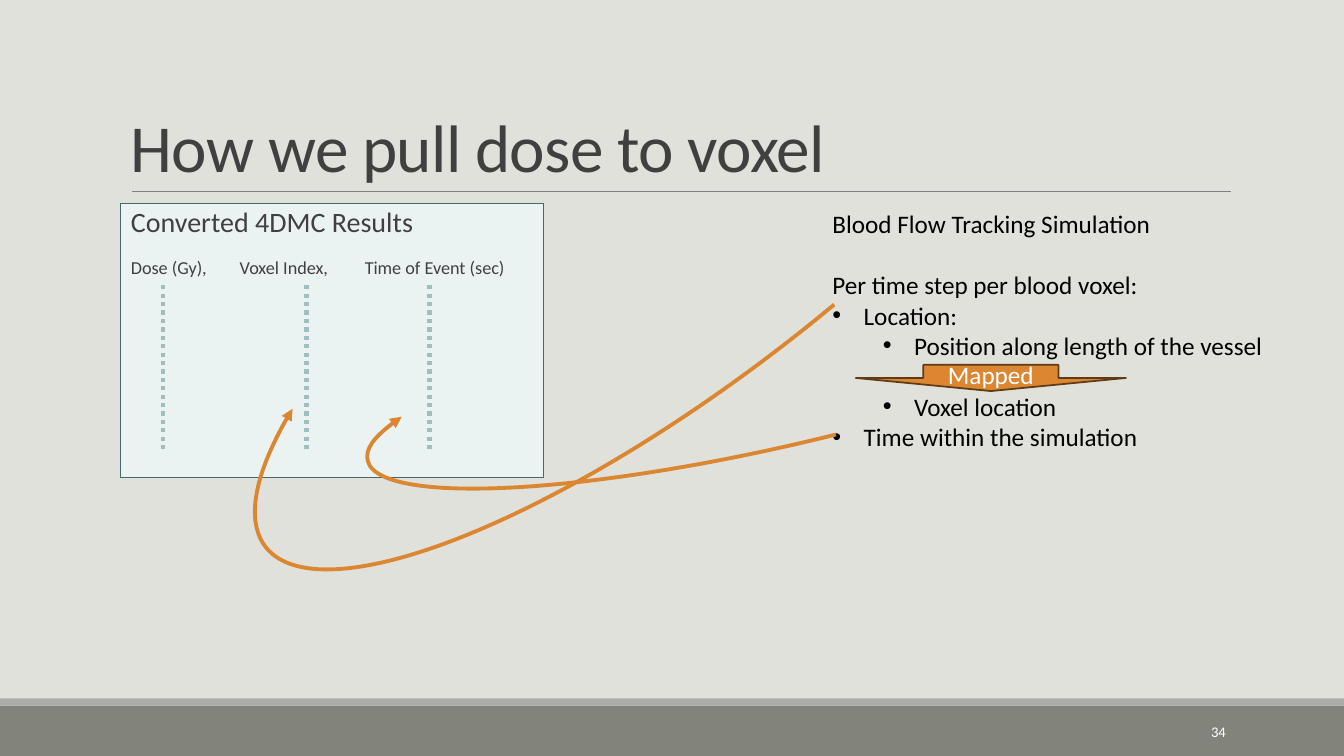
from dataclasses import dataclass
from typing import Any, Optional

import pptx
import pptx.dml.color
import pptx.enum.dml
import pptx.enum.shapes
import pptx.enum.text
import pptx.oxml
import pptx.oxml.ns
import pptx.util
import lxml.etree

RGBColor = pptx.dml.color.RGBColor
BACKGROUND = RGBColor(0xE1, 0xE1, 0xDB)
FOOTER = RGBColor(0x82, 0x84, 0x7C)
FOOTER_EDGE = RGBColor(0xAC, 0xAD, 0xA8)
RULE = RGBColor(0x80, 0x80, 0x80)
DARK = RGBColor(0x40, 0x40, 0x40)
BLACK = RGBColor(0x00, 0x00, 0x00)
WHITE = RGBColor(0xFF, 0xFF, 0xFF)
PANEL = RGBColor(0xEB, 0xF2, 0xF2)
PANEL_EDGE = RGBColor(0x45, 0x69, 0x68)
DOTS = RGBColor(0x9D, 0xBF, 0xBE)
ORANGE = RGBColor(0xDB, 0x86, 0x31)
BROWN = RGBColor(0x60, 0x3B, 0x15)

CELL = 0.1
COLUMNS, ROWS = 133.33, 75
SHAPES = pptx.enum.shapes.MSO_SHAPE
ALIGN = pptx.enum.text.PP_ALIGN
ANCHOR = pptx.enum.text.MSO_ANCHOR
SYSTEM_DOT = pptx.enum.dml.MSO_LINE.ROUND_DOT
BLANK_LINE = 22


@dataclass(frozen=True)
class Area:
    column: float
    row: float
    columns: float
    rows: float


@dataclass(frozen=True)
class Outline:
    color: RGBColor
    width: float
    dash: Any = None


@dataclass(frozen=True)
class TextLine:
    text: str
    size: float
    color: RGBColor
    bullet_level: Optional[int] = None
    space_before: float = 0
    space_after: float = 0
    line_spacing: float = 1.0
    alignment: Any = ALIGN.LEFT
    tracking: float = 0
    tabs: tuple[float, ...] = ()


@dataclass(frozen=True)
class MappingArc:
    area: Area
    rotation: float
    start: float
    end: float


def cells(count: float) -> int:
    return pptx.util.Inches(count * CELL)


def frame(area: Area) -> list[int]:
    return [cells(value) for value in (area.column, area.row, area.columns, area.rows)]


def apply(target: Any, values: dict[str, Any]) -> None:
    for name, value in values.items():
        setattr(target, name, value)


def add_child(parent: Any, tag: str, **attributes: Any) -> Any:
    child = lxml.etree.SubElement(parent, pptx.oxml.ns.qn(tag))
    for name, value in attributes.items():
        child.set(name, str(value))
    return child


def write(shape: Any, lines: list[TextLine], anchor: Any = ANCHOR.TOP) -> None:
    text_frame = shape.text_frame
    apply(text_frame, {"word_wrap": True, "vertical_anchor": anchor})
    for index, line in enumerate(lines):
        paragraph = text_frame.add_paragraph() if index else text_frame.paragraphs[0]
        properties = paragraph._p.get_or_add_pPr()
        if line.bullet_level is not None:
            properties.set("marL", str(cells(3.1 + 5 * line.bullet_level)))
            properties.set("indent", str(cells(-3.1)))
            add_child(properties, "a:buFont", typeface="Arial")
            add_child(properties, "a:buChar", char="•")
        if line.tabs:
            stops = add_child(properties, "a:tabLst")
            for stop in line.tabs:
                add_child(stops, "a:tab", pos=cells(stop), algn="l")
        apply(paragraph, {
            "level": line.bullet_level or 0,
            "alignment": line.alignment,
            "line_spacing": line.line_spacing,
            "space_before": pptx.util.Pt(line.space_before),
            "space_after": pptx.util.Pt(line.space_after),
        })
        run = paragraph.add_run()
        run.text = line.text
        apply(run.font, {"name": "Calibri", "size": pptx.util.Pt(line.size)})
        run.font.color.rgb = line.color
        if line.tracking:
            run._r.get_or_add_rPr().set("spc", str(int(line.tracking * 100)))


def draw_outline(shape: Any, outline: Outline) -> None:
    shape.line.color.rgb = outline.color
    apply(shape.line, {"width": pptx.util.Pt(outline.width), "dash_style": outline.dash})


def draw_shape(slide: Any, kind: Any, area: Area, fill: Optional[RGBColor],
               outline: Optional[Outline] = None) -> Any:
    shape = slide.shapes.add_shape(kind, *frame(area))
    shape.shadow.inherit = False
    if fill is None:
        shape.fill.background()
    else:
        shape.fill.solid()
        shape.fill.fore_color.rgb = fill
    if outline is None:
        shape.line.fill.background()
    else:
        draw_outline(shape, outline)
    return shape


def draw_line(slide: Any, start: tuple[float, float], end: tuple[float, float],
              outline: Outline) -> None:
    connector = slide.shapes.add_connector(
        pptx.enum.shapes.MSO_CONNECTOR.STRAIGHT, *[cells(value) for value in start + end])
    draw_outline(connector, outline)
    add_child(connector._element.spPr, "a:effectLst")


def draw_text(slide: Any, area: Area, lines: list[TextLine], anchor: Any = ANCHOR.TOP) -> None:
    write(slide.shapes.add_textbox(*frame(area)), lines, anchor)


def draw_arc(slide: Any, arc: MappingArc) -> None:
    shape = draw_shape(slide, SHAPES.ARC, arc.area, None, Outline(ORANGE, 2.75))
    shape.rotation = arc.rotation
    shape.adjustments[0], shape.adjustments[1] = arc.start, arc.end
    add_child(shape._element.spPr.find(pptx.oxml.ns.qn("a:ln")), "a:tailEnd", type="triangle")


def main() -> None:
    presentation = pptx.Presentation()
    apply(presentation, {"slide_width": cells(COLUMNS), "slide_height": cells(ROWS)})
    slide = presentation.slides.add_slide(presentation.slide_layouts[6])
    slide.background.fill.solid()
    slide.background.fill.fore_color.rgb = BACKGROUND

    draw_shape(slide, SHAPES.RECTANGLE, Area(0, 70, COLUMNS, 5), FOOTER)
    draw_shape(slide, SHAPES.RECTANGLE, Area(0, 69.3, COLUMNS, 0.7), FOOTER_EDGE)
    draw_line(slide, (13.1, 19), (122.1, 19), Outline(RULE, 0.5))
    draw_text(slide, Area(12, 3.1, 110, 15.9), [
        TextLine("How we pull dose to voxel", 48, DARK, line_spacing=0.85, tracking=-0.5),
    ], ANCHOR.BOTTOM)
    draw_text(slide, Area(108.3, 70.6, 14.3, 4), [
        TextLine("34", 10.5, WHITE, alignment=ALIGN.RIGHT),
    ], ANCHOR.MIDDLE)

    results = draw_shape(slide, SHAPES.RECTANGLE, Area(12, 20.2, 41.9, 27.2), PANEL,
                         Outline(PANEL_EDGE, 0.75))
    write(results, [
        TextLine("Converted 4DMC Results", 20, DARK, space_after=2, line_spacing=0.9),
        TextLine("Dose (Gy),\tVoxel Index,\tTime of Event (sec)", 13, DARK, space_before=12,
                 space_after=2, line_spacing=0.9, tabs=(10.8, 23.2)),
    ])
    for column in (16.2, 30.4, 42.6):
        draw_line(slide, (column, 28.3), (column, 44.9), Outline(DOTS, 3, SYSTEM_DOT))

    draw_text(slide, Area(81.6, 20.2, 50.2, 28.3), [
        TextLine("Blood Flow Tracking Simulation", 18, BLACK),
        TextLine("Per time step per blood voxel:", 18, BLACK, space_before=BLANK_LINE),
        TextLine("Location:", 18, BLACK, 0),
        TextLine("Position along length of the vessel", 18, BLACK, 1),
        TextLine("Voxel location", 18, BLACK, 1, space_before=BLANK_LINE),
        TextLine("Time within the simulation", 18, BLACK, 0),
    ])
    mapped = draw_shape(slide, SHAPES.DOWN_ARROW, Area(84.9, 36.2, 26.8, 2.6), ORANGE,
                        Outline(BROWN, 1.25))
    write(mapped, [TextLine("Mapped", 18, WHITE, alignment=ALIGN.CENTER)], ANCHOR.MIDDLE)

    for arc in (
        MappingArc(Area(15.6, 7.2, 104.3, 30.7), 142.6, 146.67, 7.48),
        MappingArc(Area(35.4, 28.3, 84.1, 15.9), 167, 146.67, 3.17),
    ):
        draw_arc(slide, arc)

    presentation.save("out.pptx")


if __name__ == "__main__":
    main()
